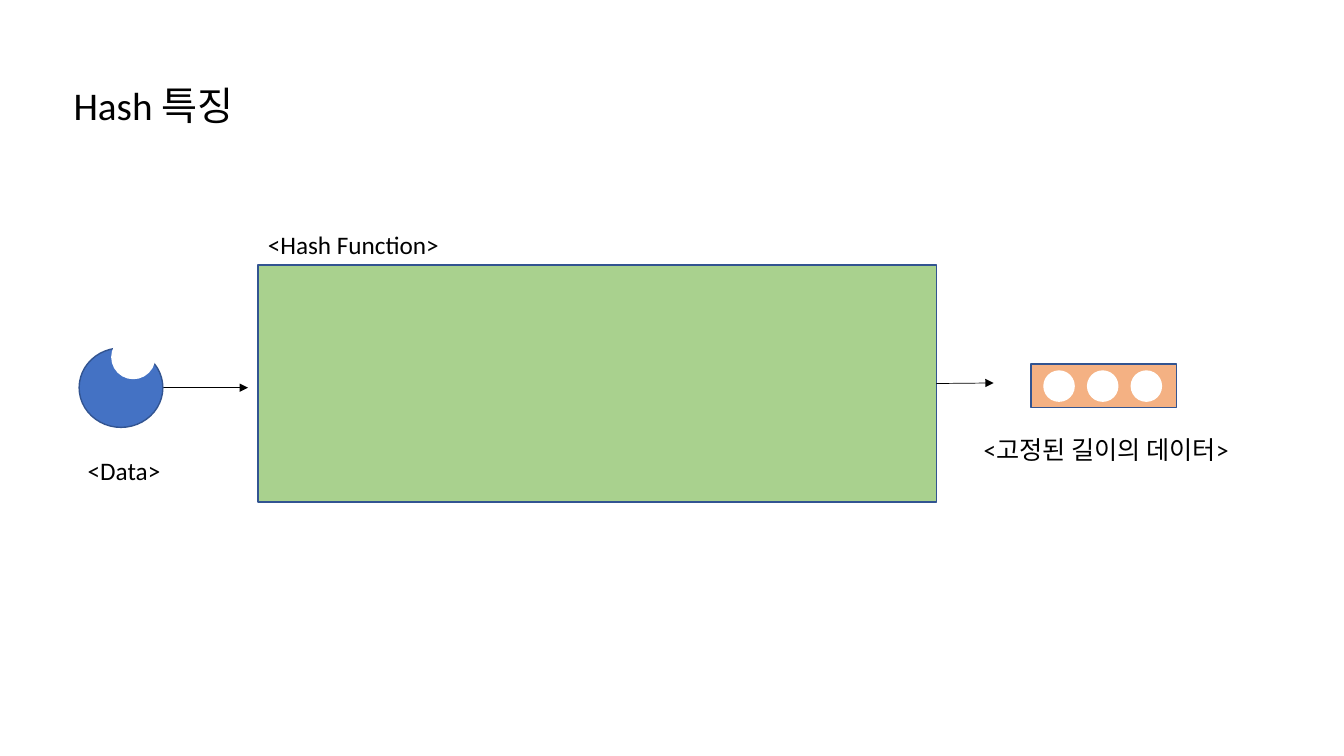
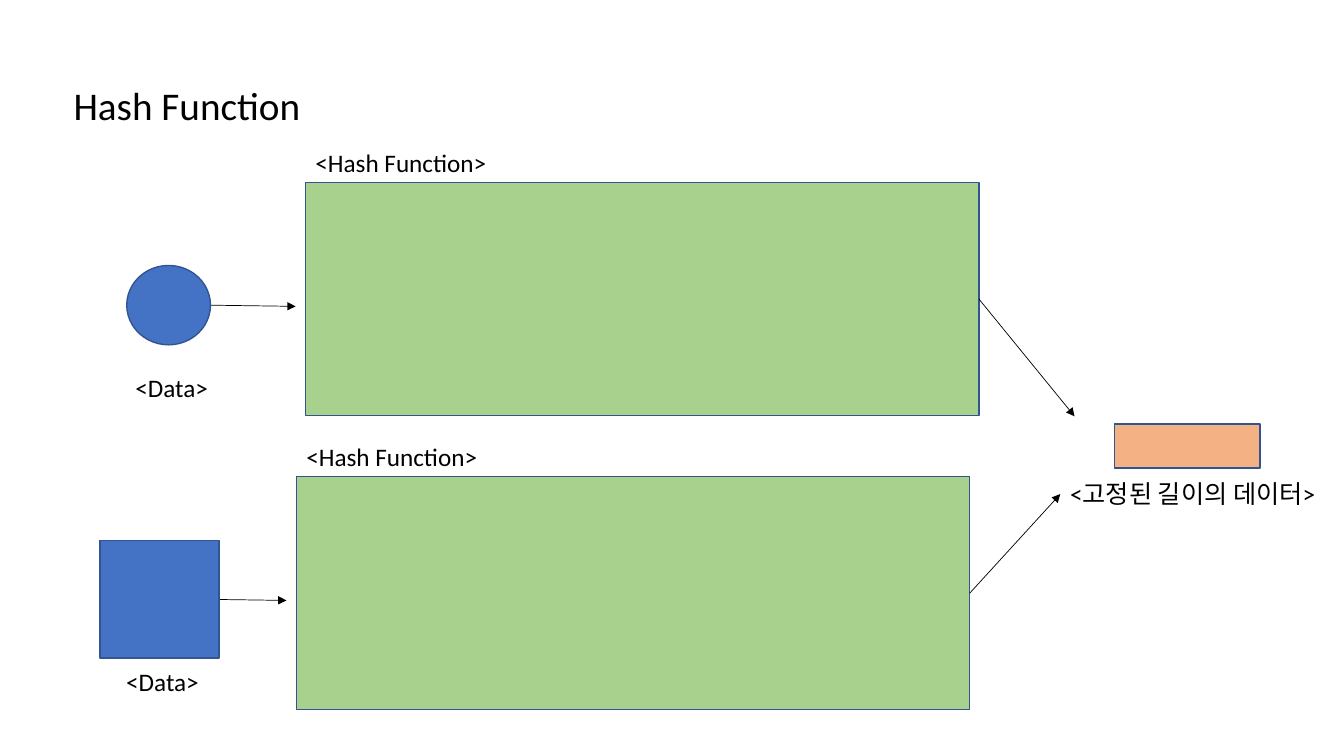
from lxml import etree
from pptx import Presentation
from pptx.dml.color import RGBColor
from pptx.enum.shapes import MSO_CONNECTOR as LINE, MSO_SHAPE as SHAPE
from pptx.enum.text import MSO_ANCHOR as ANCHOR, MSO_AUTO_SIZE as FIT, PP_ALIGN as ALIGN
from pptx.oxml.ns import qn
from pptx.util import Cm, Pt

FONT = "Calibri"
BLACK, WHITE = "000000", "FFFFFF"
GREEN, BLUE, ORANGE, OUTLINE = "A9D18E", "4472C4", "F4B183", "325491"
TITLE_ONLY = 5


def rgb(value):
    return RGBColor.from_string(value)


def write(tf, text, size=18, color=BLACK, align=ALIGN.LEFT, spacing=1.0):
    p = tf.paragraphs[0]
    p.alignment = align
    p.line_spacing = spacing
    r = p.add_run()
    r.text = text
    r.font.name = FONT
    r.font.size = Pt(size)
    r.font.color.rgb = rgb(color)


class Deck:
    """Holds the presentation, its style and the slide being drawn."""

    def __init__(self):
        self.prs = Presentation()
        self.prs.slide_width, self.prs.slide_height = Cm(33.87), Cm(19.05)
        self.s = None

    def slide(self, title):
        self.s = self.prs.slides.add_slide(self.prs.slide_layouts[TITLE_ONLY])
        sp = self.s.shapes.title
        sp.left, sp.top, sp.width, sp.height = Cm(1.6), Cm(2.06), Cm(29.21), Cm(1.5)
        tf = sp.text_frame
        tf.word_wrap = True
        tf.auto_size = FIT.NONE
        tf.vertical_anchor = ANCHOR.TOP
        write(tf, title, size=28, spacing=0.9)

    def shape(self, kind, x, y, w, h, fill, line=OUTLINE):
        sp = self.s.shapes.add_shape(kind, Cm(x), Cm(y), Cm(w), Cm(h))
        sp.shadow.inherit = False
        sp.fill.solid()
        sp.fill.fore_color.rgb = rgb(fill)
        sp.line.color.rgb = rgb(line)
        sp.line.width = Pt(1)

    def label(self, text, x, y, w=5):
        tf = self.s.shapes.add_textbox(Cm(x), Cm(y), Cm(w), Cm(1.02)).text_frame
        tf.word_wrap = True
        tf.auto_size = FIT.SHAPE_TO_FIT_TEXT
        write(tf, text)

    def arrow(self, x1, y1, x2, y2):
        sp = self.s.shapes.add_connector(LINE.STRAIGHT, Cm(x1), Cm(y1), Cm(x2), Cm(y2))
        sp.line.color.rgb = rgb(BLACK)
        sp.line.width = Pt(0.5)
        etree.SubElement(sp.line._get_or_add_ln(), qn("a:tailEnd"), type="triangle")
        etree.SubElement(sp._element.spPr, qn("a:effectLst"))

    def hash_flow(self, x, y, w, h, target, data=SHAPE.OVAL, size=(2.11, 2), drop=0):
        """Draw data entering a function box at x, y and an arrow from it to target."""
        data_w, data_h = size
        data_x, data_y = x - 3.45, y + 3.09
        self.shape(SHAPE.RECTANGLE, x, y, w, h, GREEN)
        self.label("<Hash Function>", x, y - 1.02)
        self.arrow(x - 2.4, data_y, x - 0.25, data_y + drop)
        self.shape(data, data_x - data_w / 2, data_y - data_h / 2, data_w, data_h, BLUE)
        self.label("<Data>", x - 4.54, y + 4.66)
        self.arrow(x + w, y + h / 2, *target)

    def result(self, x, y, label_x, label_y):
        self.shape(SHAPE.RECTANGLE, x, y, 3.67, 1.1, ORANGE)
        self.label("<고정된 길이의 데이터>", label_x, label_y, w=7.9)

    def hole(self, x, y, d):
        self.shape(SHAPE.OVAL, x, y, d, d, WHITE, line=WHITE)


def build_features(deck):
    deck.slide("Hash 특징")
    deck.hash_flow(6.5, 6.68, 17.1, 5.97, target=(25.04, 9.65))
    deck.result(25.98, 9.17, 24.54, 10.82)
    deck.hole(2.82, 8.46, 1.08)
    for i in range(3):
        deck.hole(26.31 + 1.1 * i, 9.35, 0.76)


def build_function(deck):
    deck.slide("Hash Function")
    w, h, drop = 16.97, 5.87, 0.03
    deck.hash_flow(7.7, 4.6, w, h, target=(27.08, 10.49), drop=drop)
    deck.result(28.09, 10.69, 26.72, 11.94)
    deck.hash_flow(7.47, 12.01, w, h, target=(26.72, 12.45),
                   data=SHAPE.RECTANGLE, size=(3, 2.97), drop=drop)


def main():
    deck = Deck()
    build_features(deck)
    build_function(deck)
    deck.prs.save("out.pptx")


if __name__ == "__main__":
    main()
